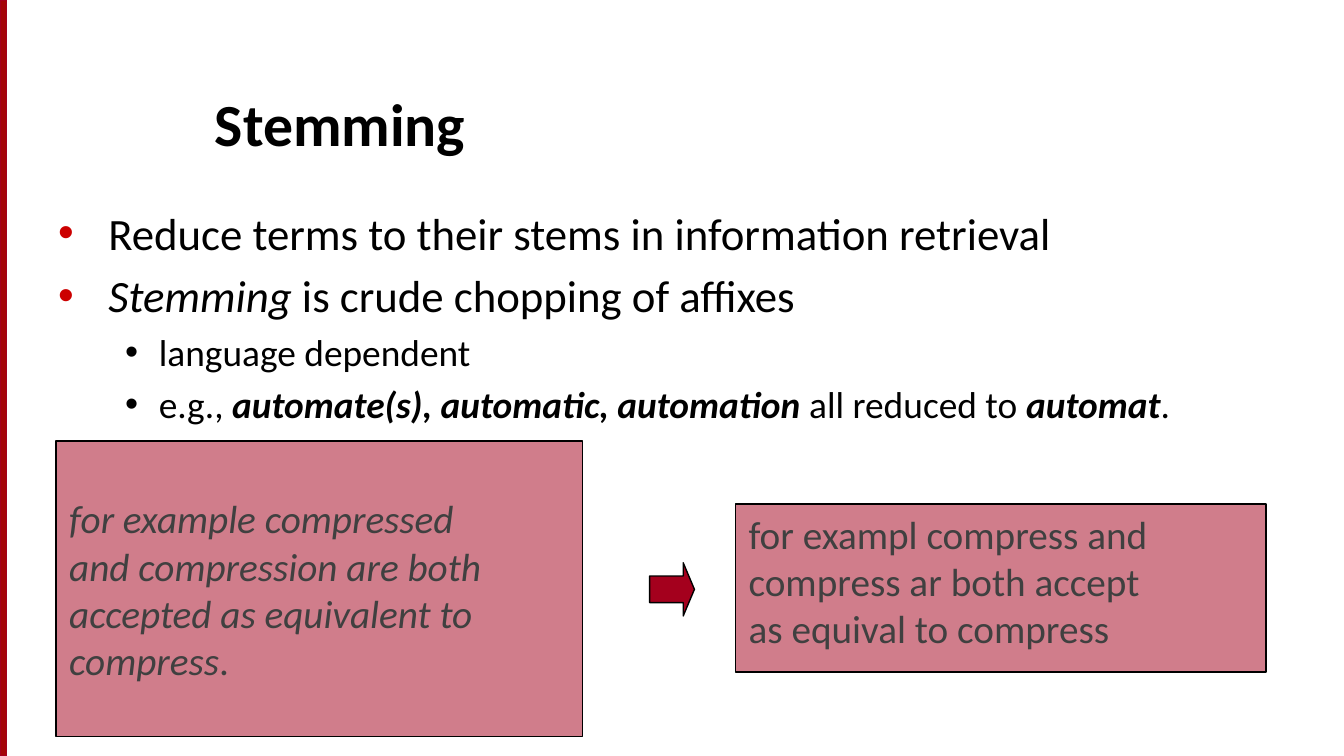
from lxml import etree
from pptx import Presentation
from pptx.dml.color import RGBColor
from pptx.enum.shapes import MSO_SHAPE
from pptx.enum.text import MSO_ANCHOR, PP_ALIGN
from pptx.oxml.ns import qn
from pptx.util import Pt

RED, BLACK, GREY = "A4001D", "000000", "404040"


def add_block(kind, box, fill, line=BLACK, opacity=None):
    block = slide.shapes.add_shape(kind, *map(Pt, box))
    block.shadow.inherit = False
    block.fill.solid()
    block.fill.fore_color.rgb = RGBColor.from_string(fill)
    block.line.color.rgb = RGBColor.from_string(line)
    block.line.width = Pt(0.75)
    if opacity:
        color = block.fill._xPr.find(qn("a:solidFill"))[0]
        etree.SubElement(color, qn("a:alpha"), val=str(opacity * 1000))
    return block


def add_runs(paragraph, runs, size, color):
    """Each run is a text and its style: any of b and i."""
    paragraph.alignment = PP_ALIGN.LEFT
    for text, style in runs:
        run = paragraph.add_run()
        run.text = text
        font = run.font
        font.name, font.size = "Calibri", Pt(size)
        font.bold, font.italic = "b" in style, "i" in style
        font.color.rgb = RGBColor.from_string(color)


prs = Presentation()
prs.slide_width, prs.slide_height = Pt(720), Pt(405)
slide = prs.slides.add_slide(prs.slide_layouts[6])

# Side bar
add_block(MSO_SHAPE.RECTANGLE, (0, 0, 3.6, 405), "A40508", RED)

# Title
title = slide.shapes.add_textbox(Pt(108), Pt(30), Pt(588), Pt(58.5)).text_frame
title.word_wrap = True
title.vertical_anchor = MSO_ANCHOR.BOTTOM
add_runs(title.paragraphs[0], [("Stemming", "b")], 32, BLACK)

# Bullets: size, space before, left margin, hanging indent, bullet colour
levels = [(24, 4.8, 27, 27, "CC0000"), (20, 4, 54, 18, BLACK)]
bullets = [
    (0, [("Reduce terms to their stems in information retrieval", "")]),
    (0, [("Stemming", "i"), (" is crude chopping of affixes", "")]),
    (1, [("language dependent", "")]),
    (1, [("e.g., ", ""), ("automate(s), automatic, automation", "bi"),
         (" all reduced to ", ""), ("automat", "bi"), (".", "")]),
]
body = slide.shapes.add_textbox(Pt(24), Pt(106.5), Pt(672), Pt(262)).text_frame
body.word_wrap = True
for n, (level, runs) in enumerate(bullets):
    size, before, margin, hanging, bullet_color = levels[level]
    p = body.add_paragraph() if n else body.paragraphs[0]
    p.level = level
    p.space_before = Pt(before)
    add_runs(p, runs, size, BLACK)
    pPr = p._p.get_or_add_pPr()
    pPr.set("marL", str(Pt(margin)))
    pPr.set("indent", str(-Pt(hanging)))
    color = etree.SubElement(pPr, qn("a:buClr"))
    etree.SubElement(color, qn("a:srgbClr"), val=bullet_color)
    etree.SubElement(pPr, qn("a:buFont"), typeface="Arial")
    etree.SubElement(pPr, qn("a:buChar"), char="•")

# Text before and after stemming
panels = [
    ((30, 236.25, 282, 158.5), MSO_ANCHOR.MIDDLE, True,
     [[("for example compressed", "i")],
      [("and compression are both", "i")],
      [("accepted as equivalent to", "i")],
      [("compress", "i"), (".", "")]]),
    ((394, 270, 284.25, 90), MSO_ANCHOR.TOP, False,
     [[("for exampl compress and", "")],
      [("compress ar both accept", "")],
      [("as equival to compress", "")]]),
]
for box, anchor, wrap, lines in panels:
    frame = add_block(MSO_SHAPE.RECTANGLE, box, RED, opacity=51).text_frame
    frame.word_wrap = wrap
    frame.vertical_anchor = anchor
    for n, runs in enumerate(lines):
        p = frame.add_paragraph() if n else frame.paragraphs[0]
        add_runs(p, runs, 21, GREY)

# Arrow between the panels
arrow = add_block(MSO_SHAPE.RIGHT_ARROW, (348, 301.5, 24, 28.5), RED)
arrow.adjustments[0], arrow.adjustments[1] = 0.5, 0.25

prs.save("out.pptx")
